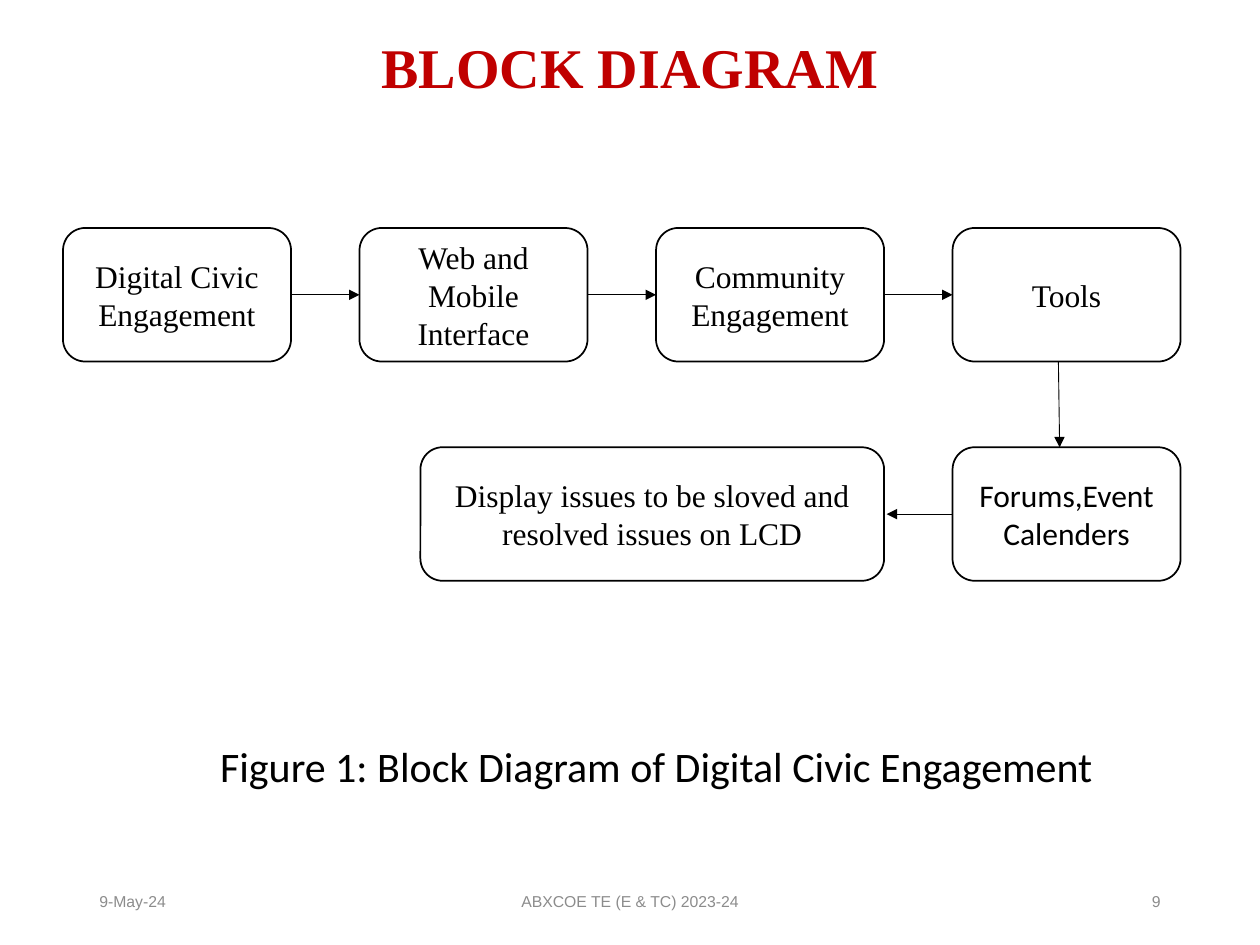
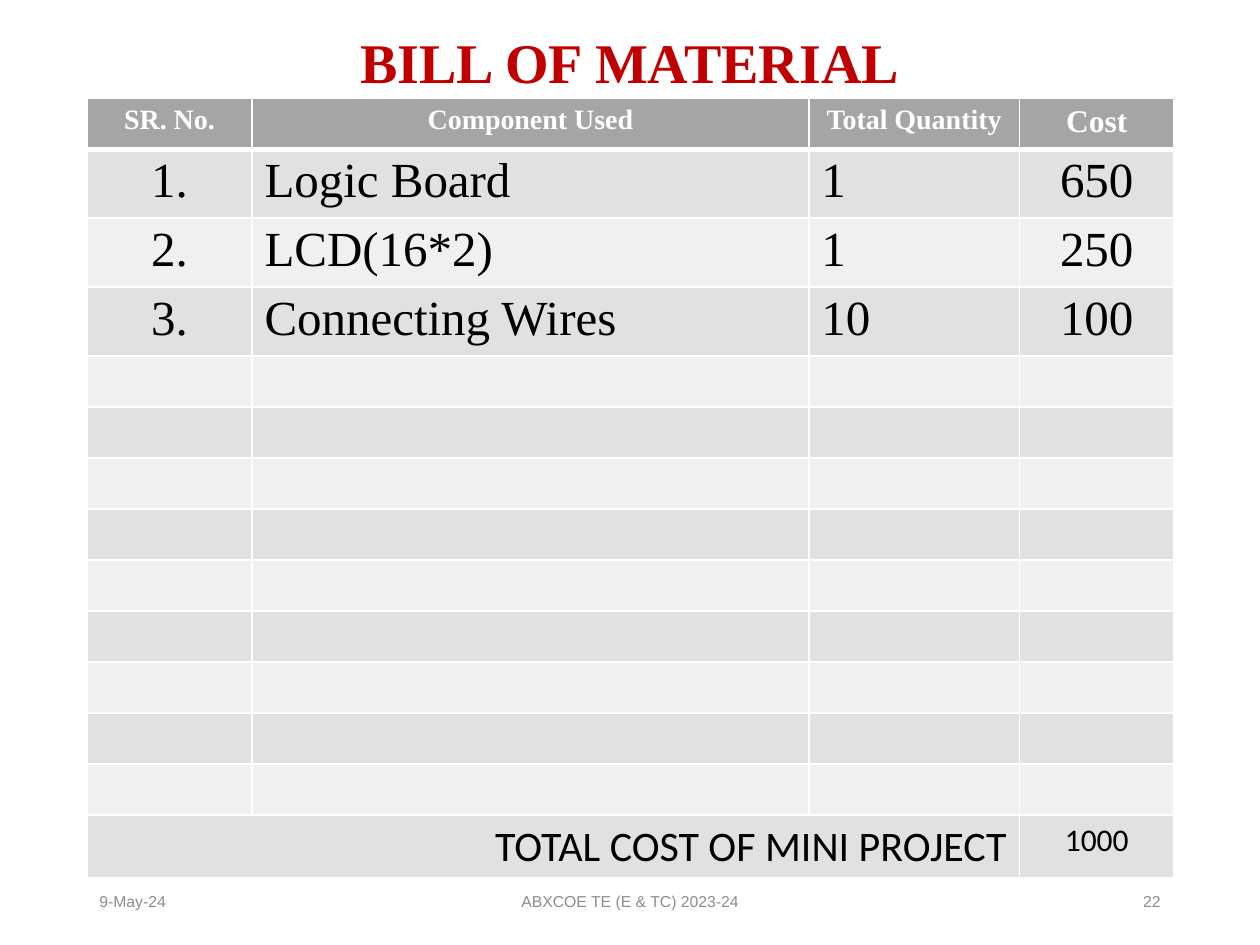
from dataclasses import dataclass
from typing import NamedTuple

from lxml.etree import SubElement
from pptx import Presentation
from pptx.dml.color import RGBColor
from pptx.enum.shapes import MSO_CONNECTOR, MSO_SHAPE
from pptx.enum.text import MSO_ANCHOR, PP_ALIGN as Align
from pptx.oxml import parse_xml
from pptx.oxml.ns import nsdecls, qn
from pptx.util import Inches, Pt

# Shared look
RED, BLACK, WHITE, GREY = "C00000", "000000", "FFFFFF", "8C8C8C"
HEAD_FILL, BANDS = "A5A5A5", ("F0F0F0", "E1E1E1")
SERIF, SANS, FOOTER_FONT = "Times New Roman", "Calibri", "Arial"
TITLE_ONLY = 5

# The slide is a grid of 100 columns by 75 rows
COLS, ROWS = 100, 75
SLIDE_W, SLIDE_H = Inches(10), Inches(7.5)


class Area(NamedTuple):
    col: float
    row: float
    cols: float
    rows: float

    @property
    def right(self) -> float:
        return self.col + self.cols

    @property
    def bottom(self) -> float:
        return self.row + self.rows

    @property
    def middle(self) -> float:
        return self.row + self.rows / 2


@dataclass(frozen=True)
class Style:
    size: float
    font: str = SERIF
    color: str = BLACK
    bold: bool = False
    align: Align = Align.CENTER


@dataclass(frozen=True)
class Block:
    text: str
    area: Area
    font: str = SERIF


def x(cols: float) -> int:
    return round(SLIDE_W * cols / COLS)


def y(rows: float) -> int:
    return round(SLIDE_H * rows / ROWS)


def emu(area: Area) -> tuple:
    return x(area.col), y(area.row), x(area.cols), y(area.rows)


def rgb(color: str) -> RGBColor:
    return RGBColor.from_string(color)


def write(tf, text: str, style: Style) -> None:
    p = tf.paragraphs[0]
    p.alignment = style.align
    r = p.add_run()
    r.text = text
    r.font.color.rgb = rgb(style.color)
    for name, value in {"size": Pt(style.size), "name": style.font,
                        "bold": style.bold}.items():
        setattr(r.font, name, value)


def add_text(s, text: str, area: Area, style: Style, anchor=MSO_ANCHOR.MIDDLE) -> None:
    tf = s.shapes.add_textbox(*emu(area)).text_frame
    tf.word_wrap, tf.vertical_anchor = True, anchor
    write(tf, text, style)


def add_slide(prs, title: str, title_rows: float, number: int):
    s = prs.slides.add_slide(prs.slide_layouts[TITLE_ONLY])
    sp = s.shapes.title
    sp.left, sp.top, sp.width, sp.height = emu(Area(5, 1.7, 90, title_rows))
    sp.text_frame.vertical_anchor = MSO_ANCHOR.MIDDLE
    write(sp.text_frame, title, Style(32, color=RED, bold=True))
    sp.text_frame.paragraphs[0].line_spacing = 0.9
    footer = (("9-May-24", 6.9, 22.5, Align.LEFT),
              ("ABXCOE TE (E & TC) 2023-24", 33.1, 33.8, Align.CENTER),
              (str(number), 70.6, 22.5, Align.RIGHT))
    for text, col, cols, align in footer:
        add_text(s, text, Area(col, 69.5, cols, 4),
                 Style(9, FOOTER_FONT, GREY, align=align))
    return s


# Block diagram
BLOCK_W, BLOCK_H = 18.1, 10.6
LEFT, RIGHT = 5, 93.7
PITCH = (RIGHT - LEFT - BLOCK_W) / 3
TOP_ROW, LOW_ROW = 18.1, 35.5
DISPLAY_W = 36.8


def block_area(index: int, row: float) -> Area:
    return Area(LEFT + index * PITCH, row, BLOCK_W, BLOCK_H)


def add_block(s, block: Block) -> None:
    sp = s.shapes.add_shape(MSO_SHAPE.ROUNDED_RECTANGLE, *emu(block.area))
    sp.shadow.inherit = False
    sp.fill.solid()
    sp.fill.fore_color.rgb = rgb(WHITE)
    sp.line.color.rgb = rgb(BLACK)
    sp.line.width = Pt(1)
    sp.text_frame.word_wrap = True
    sp.text_frame.vertical_anchor = MSO_ANCHOR.MIDDLE
    write(sp.text_frame, block.text, Style(18, block.font))


def add_arrow(s, x1: float, y1: float, x2: float, y2: float) -> None:
    line = s.shapes.add_connector(MSO_CONNECTOR.STRAIGHT, x(x1), y(y1), x(x2), y(y2))
    line.line.color.rgb = rgb(BLACK)
    line.line.width = Pt(0.5)
    SubElement(line.line._get_or_add_ln(), qn("a:tailEnd"), type="triangle")
    SubElement(line._element.spPr, qn("a:effectLst"))


def block_diagram(prs) -> None:
    s = add_slide(prs, "BLOCK DIAGRAM", 7.8, 9)
    names = ("Digital Civic Engagement", "Web and Mobile Interface",
             "Community Engagement", "Tools")
    steps = [Block(name, block_area(i, TOP_ROW)) for i, name in enumerate(names)]
    forums = Block("Forums,Event Calenders", block_area(3, LOW_ROW), SANS)
    display = Block("Display issues to be sloved and resolved issues on LCD",
                    Area(steps[2].area.right - DISPLAY_W, LOW_ROW, DISPLAY_W, BLOCK_H))
    for block in (*steps, forums, display):
        add_block(s, block)

    # Arrows: along the top row, down, then back
    for a, b in zip(steps, steps[1:]):
        add_arrow(s, a.area.right, a.area.middle, b.area.col, b.area.middle)
    add_arrow(s, 84, steps[-1].area.bottom, 84.1, LOW_ROW)
    add_arrow(s, forums.area.col, forums.area.middle,
              display.area.right + 0.2, display.area.middle)
    add_text(s, "Figure 1: Block Diagram of Digital Civic Engagement",
             Area(7.5, 58.3, 89.2, 5), Style(24, SANS), MSO_ANCHOR.TOP)


# Bill of material
HEADERS = ("SR. No.", "Component Used", "Total Quantity", "Cost")
PARTS = (("1.", "Logic Board", "1", "650"),
         ("2.", "LCD(16*2)", "1", "250"),
         ("3.", "Connecting Wires", "10", "100"))
COLUMN_COLS = (13.1, 44.2, 16.7, 12.3)
COLUMN_ALIGN = (Align.CENTER, Align.JUSTIFY, Align.LEFT, Align.CENTER)
TABLE_ROWS = 14
TABLE = Area(6.9, 7.8, 86.2, 56.7)


def set_borders(cell, top: float, bottom: float) -> None:
    tc_pr = cell._tc.get_or_add_tcPr()
    widths = {"lnL": 1, "lnR": 1, "lnT": top, "lnB": bottom}
    for i, (tag, width) in enumerate(widths.items()):
        tc_pr.insert(i, parse_xml(
            f'<a:{tag} {nsdecls("a")} w="{Pt(width)}"><a:solidFill>'
            f'<a:srgbClr val="{WHITE}"/></a:solidFill></a:{tag}>'))


def bill_of_material(prs) -> None:
    s = add_slide(prs, "BILL OF MATERIAL", 7, 22)
    table = s.shapes.add_table(TABLE_ROWS, len(HEADERS), *emu(TABLE)).table
    table.horz_banding = False
    for column, cols in zip(table.columns, COLUMN_COLS):
        column.width = x(cols)

    # Fills and borders
    for i, row in enumerate(table.rows):
        row.height = y(TABLE.rows / TABLE_ROWS)
        for cell in row.cells:
            cell.fill.solid()
            cell.fill.fore_color.rgb = rgb(BANDS[i % 2] if i else HEAD_FILL)
            set_borders(cell, 3 if i == 1 else 1, 3 if i == 0 else 1)

    # Header and parts
    for j, text in enumerate(HEADERS):
        size = 18 if text == "Cost" else 16
        write(table.cell(0, j).text_frame, text, Style(size, color=WHITE, bold=True))
    for i, part in enumerate(PARTS, 1):
        for j, (text, align) in enumerate(zip(part, COLUMN_ALIGN)):
            cell = table.cell(i, j)
            cell.margin_top = cell.margin_bottom = Inches(0.04)
            write(cell.text_frame, text, Style(28, align=align))

    # Total
    last = TABLE_ROWS - 1
    table.cell(last, 0).merge(table.cell(last, 2))
    write(table.cell(last, 0).text_frame, "TOTAL COST OF MINI PROJECT",
          Style(24, SANS, align=Align.RIGHT))
    write(table.cell(last, 3).text_frame, "1000", Style(18, SANS))


def main() -> None:
    prs = Presentation()
    prs.slide_width, prs.slide_height = SLIDE_W, SLIDE_H
    block_diagram(prs)
    bill_of_material(prs)
    prs.save("out.pptx")


if __name__ == "__main__":
    main()
